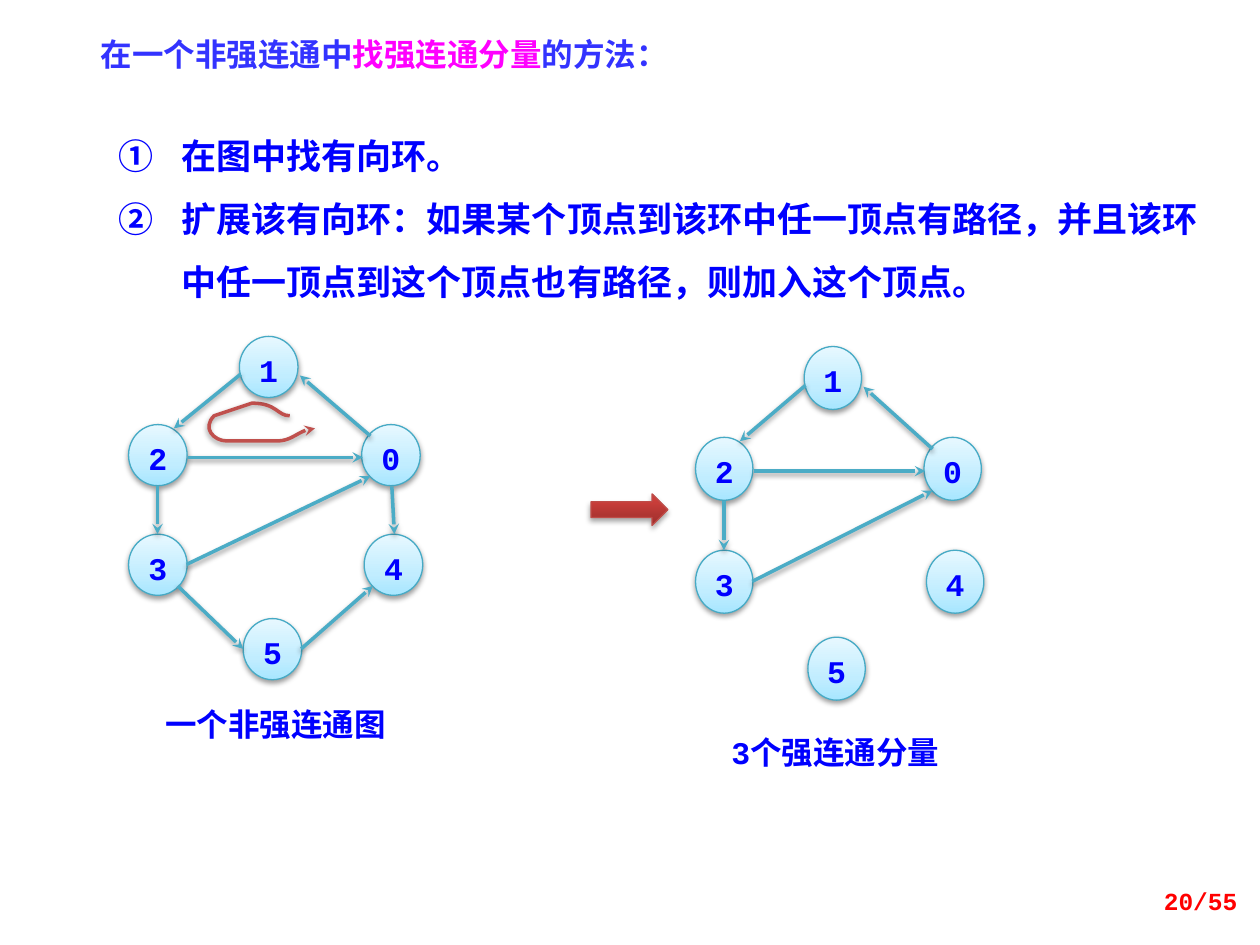
import lxml.etree
import pptx
import pptx.dml.color
import pptx.enum.dml
import pptx.enum.shapes
import pptx.enum.text
import pptx.oxml.ns
import pptx.util

SHAPE = pptx.enum.shapes.MSO_SHAPE
ALIGN = pptx.enum.text.PP_ALIGN
ANCHOR = pptx.enum.text.MSO_ANCHOR
CELL = pptx.util.Inches(0.1)  # the slide is a grid of 100 columns by 75 rows

BLUE, TEAL, RED = "0000FF", "4BACC6", "C0504D"
MONO, CJK = "Courier New", "Noto Sans CJK SC"
NODE_STOPS = [(0, "A7E6FF"), (35, "C1EDFF"), (100, "E7F8FF")]
ARROW_STOPS = [(0, "9C2F2D"), (80, "CB3E3A"), (100, "CE3B37")]

# Graph drawing, in cells from the left edge of node 2 and the top of node 1
NODE_SIZE = (4.65, 4.85)
NODES = {"1": (8.8, 0), "0": (18.5, 7), "2": (0, 7),
         "3": (0, 15.7), "4": (18.7, 15.7), "5": (9.1, 22.4)}
COMPONENT_EDGES = [
    ((8.9, 3), (3.6, 7.3)),       # 1 to 2
    ((19.2, 7.9), (13.6, 3.1)),   # 0 to 1
    ((4.7, 9.6), (18.6, 9.6)),    # 2 to 0
    ((2.3, 11.9), (2.3, 15.7)),   # 2 to 3
    ((4.6, 18.1), (19.2, 11.1)),  # 3 to 0
]
OTHER_EDGES = [
    ((3.9, 19.8), (9.1, 24.8)),     # 3 to 5
    ((20.9, 11.9), (21.1, 15.7)),   # 0 to 4
    ((13.7, 24.8), (19.4, 19.8)),   # 5 to 4
]
LOOP = [(23.3, 32.9), (22.4, 32.6), (21.6, 32.3), (20.5, 32.3), (19.5, 32.3),
        (17.3, 32.7), (16.9, 33.2), (16.5, 33.6), (17.3, 34.6), (18.2, 34.9),
        (19.1, 35.2), (21.1, 35.3), (22.3, 35.1), (23.4, 34.9), (24.2, 34.4),
        (25.1, 33.9)]


def color(value):
    return pptx.dml.color.RGBColor.from_string(value)


def cells(*values):
    return [round(value * CELL) for value in values]


def add_element(parent, tag, **attributes):
    texts = {key: str(value) for key, value in attributes.items()}
    return lxml.etree.SubElement(parent, pptx.oxml.ns.qn("a:" + tag), texts)


def style_line(shape, value, width, arrow=False):
    shape.line.color.rgb = color(value)
    shape.line.width = pptx.util.Pt(width)
    if arrow:
        add_element(shape.line._get_or_add_ln(), "tailEnd", type="stealth")


def add_shadow(shape, distance=1.6, opacity=38):
    """Soft shadow straight below; call after fill and line are set."""
    effects = add_element(shape._element.spPr, "effectLst")
    shadow = add_element(effects, "outerShdw", blurRad=pptx.util.Pt(3.1),
                         dist=pptx.util.Pt(distance), dir=5400000, rotWithShape=0)
    add_element(add_element(shadow, "srgbClr", val="000000"), "alpha", val=opacity * 1000)


def fill_gradient(shape, stops):
    """Gradient that runs from bottom to top."""
    shape.fill.gradient()
    shape.fill.gradient_angle = 90
    stop_list = shape._element.spPr.find(".//" + pptx.oxml.ns.qn("a:gsLst"))
    for stop in list(stop_list):
        stop_list.remove(stop)
    for position, value in stops:
        add_element(add_element(stop_list, "gs", pos=position * 1000), "srgbClr", val=value)


def add_run(paragraph, text, size, value, font=MONO):
    run = paragraph.add_run()
    run.text = text
    run.font.size = pptx.util.Pt(size)
    run.font.bold = True
    run.font.name = font
    run.font.color.rgb = color(value)
    add_element(run.font._element, "ea", typeface=CJK)


def add_text(shapes, box, runs, align=ALIGN.LEFT, anchor=ANCHOR.TOP):
    frame = shapes.add_textbox(*cells(*box)).text_frame
    frame.word_wrap = True
    frame.vertical_anchor = anchor
    frame.paragraphs[0].alignment = align
    for run in runs:
        add_run(frame.paragraphs[0], *run)


def set_insets(frame, left, top, right, bottom):
    frame.margin_left, frame.margin_top, frame.margin_right, frame.margin_bottom = cells(
        left, top, right, bottom)


def add_steps(shapes, box, steps):
    """White panel with circled numbers."""
    panel = shapes.add_shape(SHAPE.RECTANGLE, *cells(*box))
    panel.shadow.inherit = False
    panel.fill.solid()
    panel.fill.fore_color.rgb = color("FFFFFF")
    panel.line.fill.background()
    frame = panel.text_frame
    frame.word_wrap = True
    frame.vertical_anchor = ANCHOR.TOP
    set_insets(frame, 1.6, 1.2, 1, 1.2)
    for index, step in enumerate(steps):
        paragraph = frame.add_paragraph() if index else frame.paragraphs[0]
        properties = paragraph._p.get_or_add_pPr()
        properties.set("marL", str(5 * CELL))
        properties.set("indent", str(-5 * CELL))
        add_element(properties, "buAutoNum", type="circleNumDbPlain")
        paragraph.alignment = ALIGN.LEFT
        paragraph.line_spacing = 1.5
        add_run(paragraph, step, 20, BLUE)


def add_node(shapes, label, box):
    node = shapes.add_shape(SHAPE.OVAL, *cells(*box))
    fill_gradient(node, NODE_STOPS)
    style_line(node, "46AAC5", 0.75)
    add_shadow(node)
    frame = node.text_frame
    frame.vertical_anchor = ANCHOR.TOP
    set_insets(frame, 0, 1.2, 0, 0)
    paragraph = frame.paragraphs[0]
    paragraph.alignment = ALIGN.CENTER
    paragraph.line_spacing = 0.72
    add_run(paragraph, label, 18, BLUE)


def add_edge(shapes, start, end):
    edge = shapes.add_connector(pptx.enum.shapes.MSO_CONNECTOR.STRAIGHT,
                                *cells(*start, *end))
    style_line(edge, TEAL, 2, arrow=True)
    add_shadow(edge)


def add_graph(shapes, origin, scale, edges):
    def place(point):
        return [start + value * factor
                for start, value, factor in zip(origin, point, scale)]

    size = [length * factor for length, factor in zip(NODE_SIZE, scale)]
    for label, corner in NODES.items():
        add_node(shapes, label, place(corner) + size)
    for start, end in edges:
        add_edge(shapes, place(start), place(end))


def add_loop(shapes, points):
    """Open curve: after the first point, every three points are one Bezier part."""
    builder = shapes.build_freeform(*points[0], scale=CELL)
    builder.add_line_segments(points[1:], close=False)
    curve = builder.convert_to_shape()
    segments = list(curve._element.spPr.iter(pptx.oxml.ns.qn("a:lnTo")))
    outline = segments[0].getparent()
    for index in range(0, len(segments), 3):
        bezier = add_element(outline, "cubicBezTo")
        for segment in segments[index:index + 3]:
            bezier.append(segment[0])
            outline.remove(segment)
    curve.fill.background()
    style_line(curve, RED, 2, arrow=True)
    add_shadow(curve)


def add_block_arrow(shapes, box):
    arrow = shapes.add_shape(SHAPE.RIGHT_ARROW, *cells(*box))
    fill_gradient(arrow, ARROW_STOPS)
    style_line(arrow, "BF4C48", 0.75)
    add_shadow(arrow, 1.8, 35)


def main():
    presentation = pptx.Presentation()
    presentation.slide_width, presentation.slide_height = cells(100, 75)
    slide = presentation.slides.add_slide(presentation.slide_layouts[6])
    shapes = slide.shapes

    # Title and method
    title_font = "Times New Roman"
    add_text(shapes, (7, 2.3, 52.3, 4), [
        ("在一个非强连通中", 18, "3333FF", title_font),
        ("找强连通分量", 18, "FF00FF", title_font),
        ("的方法：", 18, "3333FF", title_font)])
    add_steps(shapes, (7.8, 7.8, 89.1, 16.9), [
        "在图中找有向环。",
        "扩展该有向环：如果某个顶点到该环中任一顶点有路径，"
        "并且该环中任一顶点到这个顶点也有路径，则加入这个顶点。"])

    # Whole graph with its directed cycle
    add_loop(shapes, LOOP)
    whole = shapes.add_group_shape().shapes
    add_text(whole, (10.9, 55.5, 21.9, 4), [("一个非强连通图", 18, BLUE, CJK)], ALIGN.CENTER)
    add_graph(whole, (10.2, 26.7), (1, 1), COMPONENT_EDGES + OTHER_EDGES)

    # Its strongly connected components
    split = shapes.add_group_shape().shapes
    add_text(split, (56, 57.7, 20.6, 4), [("3个强连通分量", 18, BLUE)], ALIGN.CENTER)
    add_graph(split, (55.2, 27.5), (0.98, 1.03), COMPONENT_EDGES)
    add_block_arrow(split, (46.9, 39.2, 6.1, 2.5))

    # Page number
    add_text(shapes, (75.9, 69.5, 23.3, 4), [("20/55", 14, "FF0000")],
             ALIGN.RIGHT, ANCHOR.MIDDLE)
    presentation.save("out.pptx")


if __name__ == "__main__":
    main()
